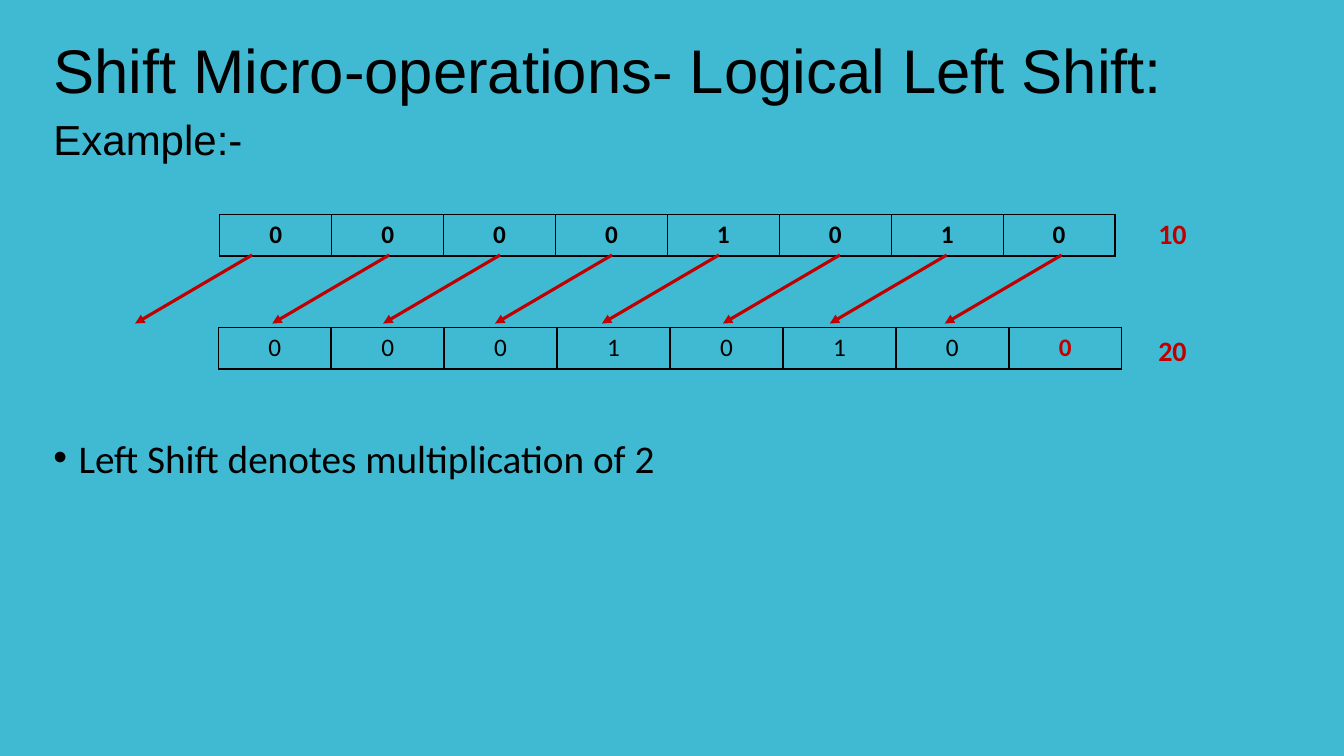
from dataclasses import dataclass
from lxml.etree import SubElement as Sub
from pptx import Presentation
from pptx.dml.color import RGBColor as Color
from pptx.enum.shapes import MSO_CONNECTOR as Conn
from pptx.enum.text import MSO_ANCHOR as Anchor, MSO_AUTO_SIZE as Fit, PP_ALIGN as Align
from pptx.oxml.ns import qn
from pptx.util import Inches, Pt

TITLE = "Shift Micro-operations- Logical Left Shift:"
LEAD = "Example:-"
POINT = "Left Shift denotes multiplication of 2"
BEFORE = "00001010"
AFTER = "00010100"
VALUES = [("10", 2.1), ("20", 3.26)]
STARTS = [2.5, 3.86, 4.96, 6.07, 7.13, 8.33, 9.39, 10.53]


@dataclass
class Theme:
    back: str = "40BAD2"
    ink: str = "000000"
    red: str = "C00000"
    head: str = "Arial"
    text: str = "Calibri"
    title: int = 44
    lead: int = 30
    point: int = 28
    bit: int = 18
    value: int = 20


theme = Theme()
CELL, ROW = 1.11, 0.41
TOP, LOW = 2.13, 3.25
LEFT, STEP = 2.17, 1.12
RUN, DROP = 1.16, 0.68


def style(para, size, face, color=theme.ink, bold=False):
    for run in para.runs:
        font = run.font
        font.size, font.name, font.bold = Pt(size), face, bold
        font.color.rgb = Color.from_string(color)


def place(shape, *box):
    shape.left, shape.top, shape.width, shape.height = map(Inches, box)


def border(cell):
    props = cell._tc.get_or_add_tcPr()
    for side in ("lnL", "lnR", "lnT", "lnB"):
        line = Sub(props, qn("a:" + side), w=str(Pt(1)))
        fill = Sub(line, qn("a:solidFill"))
        Sub(fill, qn("a:srgbClr"), val=theme.ink)


def add_bits(slide, bits, left, top, color=theme.ink, bold=False):
    frame = slide.shapes.add_table(1, len(bits), Inches(left), Inches(top),
                                   Inches(CELL * len(bits)), Inches(ROW))
    table = frame.table
    table.first_row = table.horz_banding = False
    table.rows[0].height = Inches(ROW)
    for col, cell, bit in zip(table.columns, table.rows[0].cells, bits):
        col.width = Inches(CELL)
        border(cell)
        cell.fill.background()
        cell.text_frame.text = bit
        para = cell.text_frame.paragraphs[0]
        para.alignment = Align.CENTER
        style(para, theme.bit, theme.text, color, bold)


def add_arrow(slide, left, top):
    arrow = slide.shapes.add_connector(Conn.STRAIGHT, Inches(left), Inches(top),
                                       Inches(left - RUN), Inches(top + DROP))
    arrow.line.width = Pt(2.25)
    arrow.line.color.rgb = Color.from_string(theme.red)
    Sub(arrow.line._get_or_add_ln(), qn("a:tailEnd"), type="triangle")
    Sub(arrow._element.spPr, qn("a:effectLst"))


def add_value(slide, value, top):
    box = slide.shapes.add_textbox(Inches(11.39), Inches(top), Inches(0.57), Inches(0.44))
    frame = box.text_frame
    frame.word_wrap = True
    frame.text = value
    style(frame.paragraphs[0], theme.value, theme.text, theme.red, True)


def add_title(slide):
    title = slide.shapes.title
    place(title, 0.43, 0, 11.5, 1.45)
    frame = title.text_frame
    frame.text = TITLE
    frame.auto_size = Fit.NONE
    frame.vertical_anchor = Anchor.MIDDLE
    para = frame.paragraphs[0]
    para.alignment, para.line_spacing = Align.LEFT, 0.9
    style(para, theme.title, theme.head)


def add_body(slide):
    body = slide.placeholders[1]
    place(body, 0.43, 1.17, 12.37, 5.92)
    frame = body.text_frame
    frame.text = LEAD
    frame.auto_size = Fit.NONE
    lead, point = frame.paragraphs[0], frame.add_paragraph()
    point.text = POINT
    for para, gap, indent in ((lead, 10, 0), (point, 200, 0.25)):
        props = para._p.get_or_add_pPr()
        props.set("marL", str(Inches(indent)))
        props.set("indent", str(Inches(-indent)))
        if indent:
            Sub(props, qn("a:buFont"), typeface=theme.head)
            Sub(props, qn("a:buChar"), char="•")
        else:
            Sub(props, qn("a:buNone"))
        para.alignment, para.line_spacing = Align.JUSTIFY, 0.8
        para.space_before = Pt(gap)
    style(lead, theme.lead, theme.head)
    style(point, theme.point, theme.text)


def main():
    deck = Presentation()
    deck.slide_width, deck.slide_height = Inches(13.33), Inches(7.5)
    slide = deck.slides.add_slide(deck.slide_layouts[1])
    fill = slide.background.fill
    fill.solid()
    fill.fore_color.rgb = Color.from_string(theme.back)
    add_title(slide)
    add_body(slide)
    add_bits(slide, BEFORE, 2.18, TOP, bold=True)
    for left in STARTS:
        add_arrow(slide, left, TOP + 0.4)
    for value, top in VALUES:
        add_value(slide, value, top)
    for i, bit in enumerate(AFTER):
        new = i == len(AFTER) - 1
        add_bits(slide, bit, LEFT + i * STEP, LOW, theme.red if new else theme.ink, new)
    deck.save("out.pptx")


if __name__ == "__main__":
    main()
